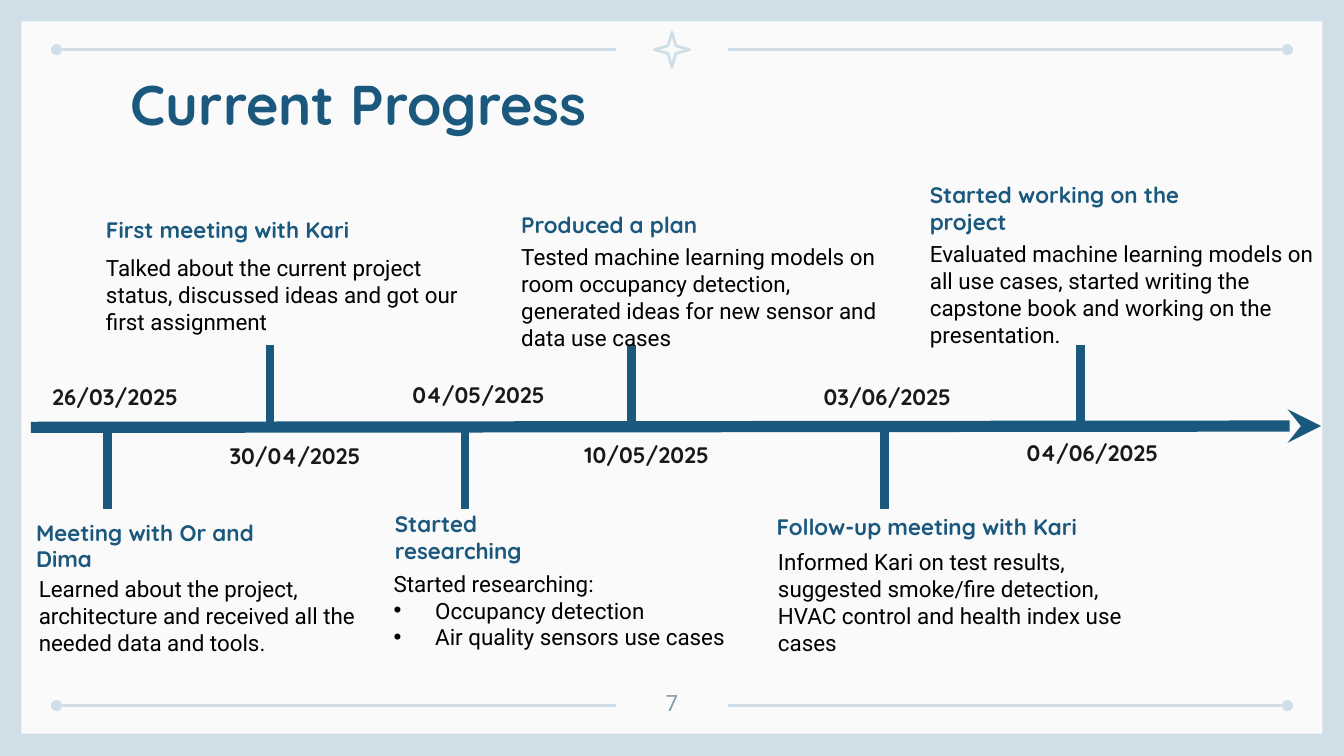
"""Build the Current Progress timeline slide on a grid of 100 columns by 56.25 rows."""

from dataclasses import dataclass
from typing import NamedTuple

from lxml.etree import SubElement
from pptx import Presentation
from pptx.dml.color import RGBColor
from pptx.enum.shapes import MSO_CONNECTOR, MSO_SHAPE
from pptx.enum.text import MSO_ANCHOR, MSO_AUTO_SIZE, PP_ALIGN
from pptx.oxml.ns import qn
from pptx.shapes.autoshape import Shape
from pptx.slide import Slide
from pptx.text.text import _Paragraph
from pptx.util import Emu, Inches, Pt

COLUMNS, ROWS = 100, 56.25
SLIDE_WIDTH = Inches(10)
CELL = SLIDE_WIDTH / COLUMNS
AXIS_ROW = 31.8
STEM_ROWS = 6.1
DATE_COLUMNS, DATE_ROWS = 14.2, 3
BULLET_INDENT = 3.1


@dataclass(frozen=True)
class Theme:
    frame: str = "CFDEE7"
    panel: str = "FAFAFA"
    accent: str = "1B587D"
    date: str = "191919"
    body: str = "000000"
    number: str = "809FAF"
    heading_font: str = "Quicksand"
    body_font: str = "Roboto"
    title_size: int = 30
    text_size: int = 12
    rule_width: float = 1.5
    stem_width: float = 4.5
    axis_width: float = 6


class Box(NamedTuple):
    column: float
    row: float
    columns: float
    rows: float


@dataclass(frozen=True)
class Milestone:
    date: str
    date_column: float
    date_row: float
    stem_column: float
    above: bool
    heading: tuple[str, ...]
    heading_box: Box
    body: str
    body_box: Box
    bullets: tuple[str, ...] = ()


THEME = Theme()

MILESTONES = (
    Milestone("26/03/2025", 2.9, 28, 8, False,
              ("Meeting with Or and Dima",), Box(1.7, 38.1, 19.9, 7.1),
              "Learned about the project, architecture and received all the needed data and tools.",
              Box(1.9, 42.3, 28.5, 7.1)),
    Milestone("30/04/2025", 16.1, 32.4, 20.1, True,
              ("First meeting with Kari",), Box(6.9, 15.6, 21.5, 5),
              "Talked about the current project status, discussed ideas and got our first assignment",
              Box(6.9, 18.4, 28.5, 7.1)),
    Milestone("04/05/2025", 29.7, 27.9, 34.6, False,
              ("Started", "researching"), Box(28.4, 37.5, 19, 5),
              "Started researching:", Box(28.3, 41.9, 28.5, 7.1),
              ("Occupancy detection", "Air quality sensors use cases")),
    Milestone("10/05/2025", 42.5, 32.3, 47, True,
              ("Produced a plan",), Box(37.8, 15.2, 20, 3),
              "Tested machine learning models on room occupancy detection, "
              "generated ideas for new sensor and data use cases",
              Box(37.8, 17.6, 29.2, 9.1)),
    Milestone("03/06/2025", 60.3, 28, 65.8, False,
              ("Follow-up meeting with Kari",), Box(56.8, 37.7, 26, 3),
              "Informed Kari on test results, suggested smoke/fire detection, "
              "HVAC control and health index use cases",
              Box(56.9, 40.3, 28.5, 9.1)),
    Milestone("04/06/2025", 75.4, 32.2, 80.4, True,
              ("Started working on the project",), Box(68.2, 13, 22.4, 5),
              "Evaluated machine learning models on all use cases, started writing the "
              "capstone book and working on the presentation.",
              Box(68.2, 17.4, 31.8, 9.1)),
)


def cells(count: float) -> Emu:
    return Emu(round(count * CELL))


def place(shape: Shape, box: Box) -> None:
    shape.left, shape.top, shape.width, shape.height = map(cells, box)


def add_line(slide: Slide, start: tuple[float, float], end: tuple[float, float], *,
             color: str, width: float, head: str = "", tail: str = "") -> None:
    connector = slide.shapes.add_connector(
        MSO_CONNECTOR.STRAIGHT, *map(cells, start), *map(cells, end))
    connector.line.color.rgb = RGBColor.from_string(color)
    connector.line.width = Pt(width)
    line = connector.line._get_or_add_ln()
    for tag, kind in (("a:headEnd", head), ("a:tailEnd", tail)):
        if kind:
            SubElement(line, qn(tag), type=kind)
    SubElement(connector._element.spPr, qn("a:effectLst"))


def add_preset(slide: Slide, preset: MSO_SHAPE, box: Box, *,
               fill: str = "", outline: str = "") -> Shape:
    shape = slide.shapes.add_shape(preset, *map(cells, box))
    shape.shadow.inherit = False
    if fill:
        shape.fill.solid()
        shape.fill.fore_color.rgb = RGBColor.from_string(fill)
    else:
        shape.fill.background()
    if outline:
        shape.line.color.rgb = RGBColor.from_string(outline)
        shape.line.width = Pt(THEME.rule_width)
    else:
        shape.line.fill.background()
    return shape


def set_bullet(paragraph: _Paragraph) -> None:
    properties = paragraph._p.get_or_add_pPr()
    properties.set("marL", str(cells(BULLET_INDENT)))
    properties.set("indent", str(-cells(BULLET_INDENT)))
    SubElement(properties, qn("a:buFont"), typeface="Arial")
    SubElement(properties, qn("a:buChar"), char="•")


def write_text(shape: Shape, texts: tuple[str, ...], *, color: str, font: str,
               size: float = THEME.text_size, bold: bool = False, centered: bool = False,
               margin: float = 0.5, grow: bool = True, bullets: tuple[str, ...] = ()) -> None:
    frame = shape.text_frame
    frame.word_wrap = True
    frame.auto_size = MSO_AUTO_SIZE.SHAPE_TO_FIT_TEXT if grow else MSO_AUTO_SIZE.NONE
    frame.vertical_anchor = MSO_ANCHOR.TOP
    frame.margin_left = frame.margin_right = cells(1)
    frame.margin_top = frame.margin_bottom = cells(margin)
    for index, text in enumerate(texts + bullets):
        paragraph = frame.paragraphs[0] if index == 0 else frame.add_paragraph()
        paragraph.alignment = PP_ALIGN.CENTER if centered else PP_ALIGN.LEFT
        if index >= len(texts):
            set_bullet(paragraph)
        run = paragraph.add_run()
        run.text = text
        run.font.name, run.font.size, run.font.bold = font, Pt(size), bold
        run.font.color.rgb = RGBColor.from_string(color)


def add_text(slide: Slide, box: Box, *texts: str, **text_format) -> None:
    write_text(slide.shapes.add_textbox(*map(cells, box)), texts, **text_format)


def add_frame(slide: Slide) -> None:
    slide.background.fill.solid()
    slide.background.fill.fore_color.rgb = RGBColor.from_string(THEME.frame)
    add_preset(slide, MSO_SHAPE.RECTANGLE, Box(1.6, 1.6, 96.8, 53), fill=THEME.panel)
    star = add_preset(slide, MSO_SHAPE.STAR_4_POINT, Box(48.7, 2.4, 2.6, 2.6), outline=THEME.frame)
    star.adjustments[0] = 0.157
    for row in (3.7, 52.5):
        add_line(slide, (4.2, row), (45.8, row),
                 color=THEME.frame, width=THEME.rule_width, head="oval")
        add_line(slide, (54.2, row), (95.8, row),
                 color=THEME.frame, width=THEME.rule_width, tail="oval")


def add_milestone(slide: Slide, item: Milestone) -> None:
    stem_end = AXIS_ROW - STEM_ROWS if item.above else AXIS_ROW + STEM_ROWS
    add_line(slide, (item.stem_column, AXIS_ROW), (item.stem_column, stem_end),
             color=THEME.accent, width=THEME.stem_width)
    add_text(slide, Box(item.date_column, item.date_row, DATE_COLUMNS, DATE_ROWS), item.date,
             color=THEME.date, font=THEME.heading_font, bold=True)
    add_text(slide, item.heading_box, *item.heading,
             color=THEME.accent, font=THEME.heading_font, bold=True)
    add_text(slide, item.body_box, item.body,
             color=THEME.body, font=THEME.body_font, bullets=item.bullets)


def main() -> None:
    presentation = Presentation()
    presentation.slide_width, presentation.slide_height = SLIDE_WIDTH, cells(ROWS)
    slide = presentation.slides.add_slide(presentation.slide_layouts.get_by_name("Title Only"))
    add_frame(slide)
    title = slide.shapes.title
    place(title, Box(6.4, 4.2, 40.6, 8.5))
    write_text(title, ("Current Progress",), color=THEME.accent, font=THEME.heading_font,
               size=THEME.title_size, bold=True, centered=True, margin=1, grow=False)
    slide.shapes._spTree.append(title._element)
    add_text(slide, Box(47, 50.3, 6, 3.6), "7", color=THEME.number, font=THEME.body_font,
             centered=True, margin=1, grow=False)
    add_line(slide, (2.3, AXIS_ROW), (98.3, AXIS_ROW - 0.1),
             color=THEME.accent, width=THEME.axis_width, tail="stealth")
    for item in MILESTONES:
        add_milestone(slide, item)
    presentation.save("out.pptx")


if __name__ == "__main__":
    main()
